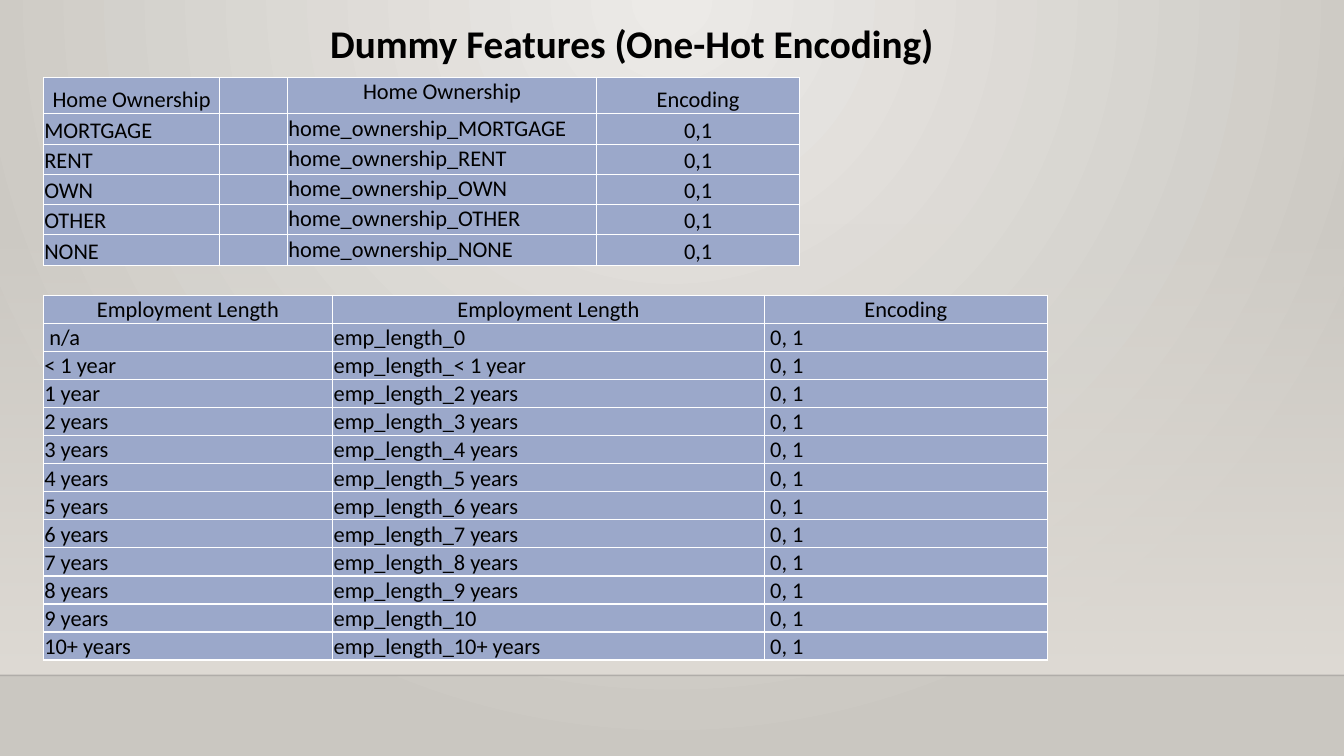
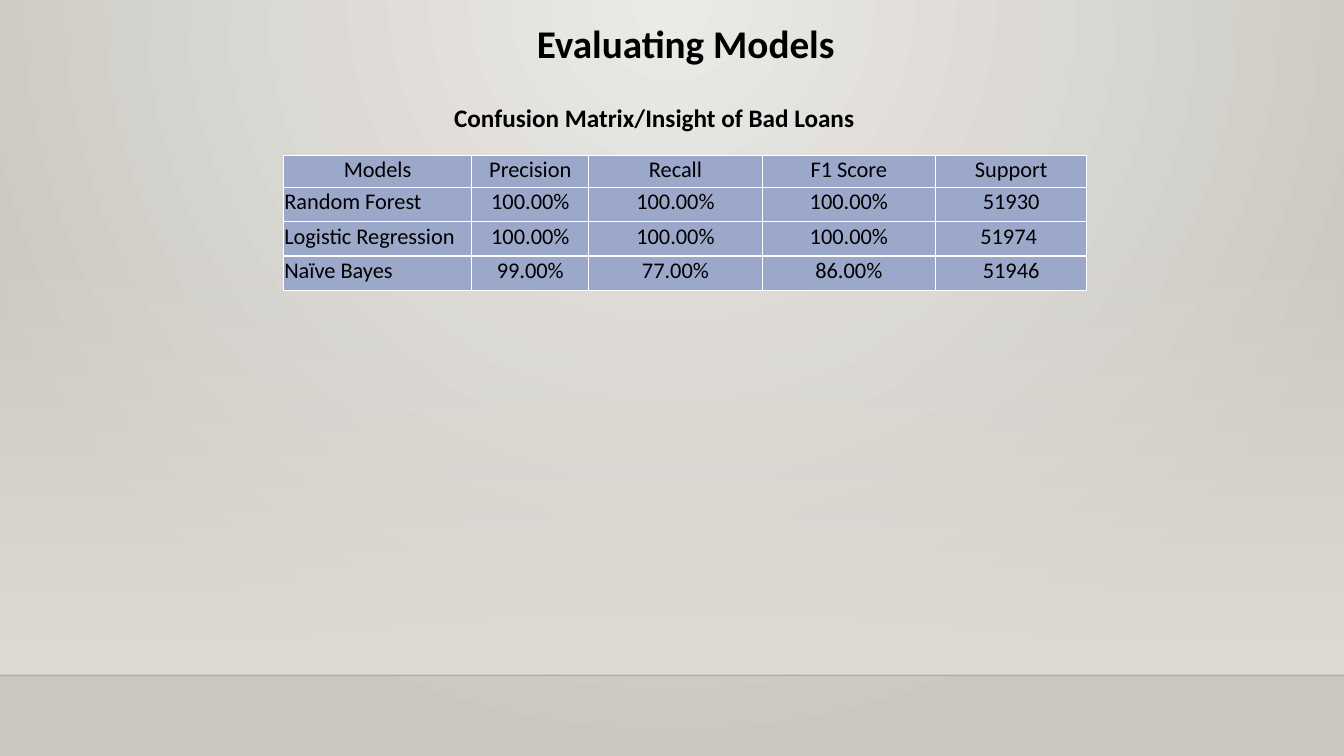
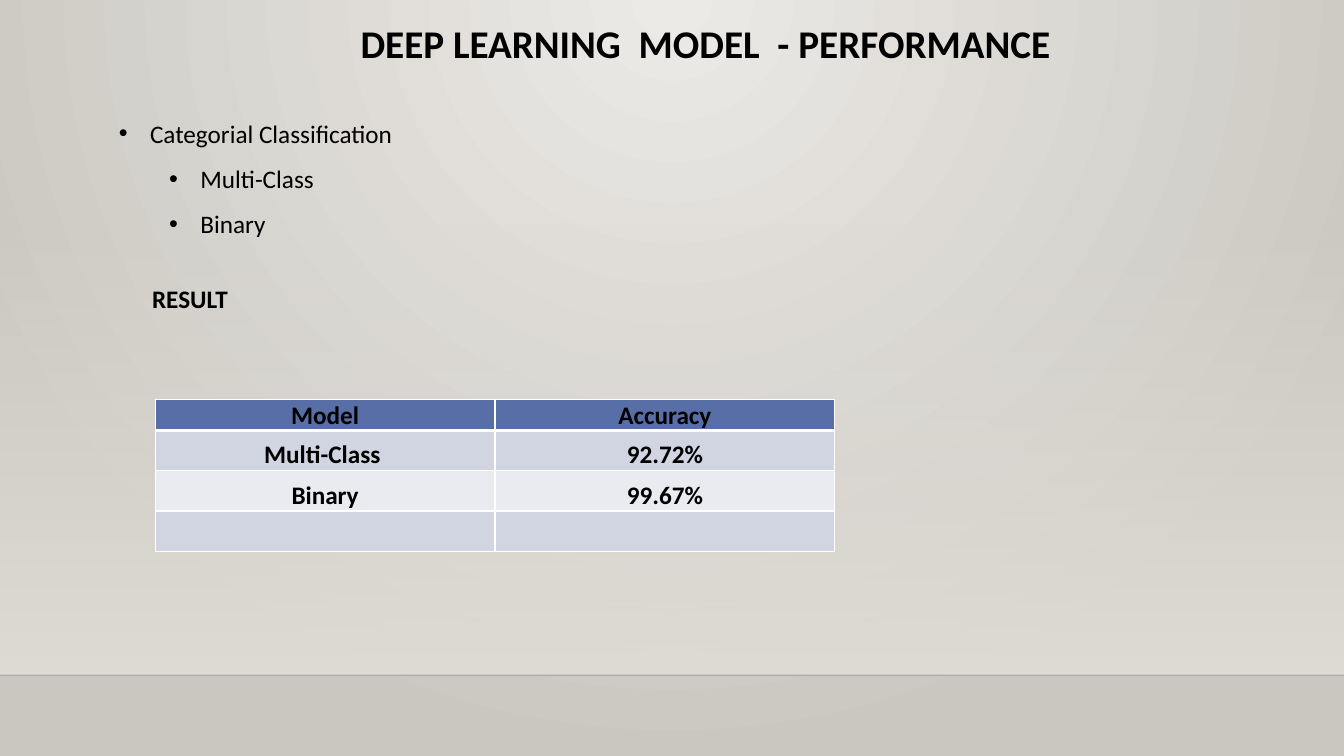
from dataclasses import dataclass

from lxml.etree import SubElement
from pptx import Presentation
from pptx.dml.color import RGBColor
from pptx.enum.shapes import MSO_CONNECTOR, MSO_SHAPE
from pptx.enum.text import MSO_ANCHOR, MSO_AUTO_SIZE, PP_ALIGN
from pptx.oxml import parse_xml
from pptx.oxml.ns import nsdecls, qn
from pptx.util import Inches, Pt

ALIGN = {"l": PP_ALIGN.LEFT, "c": PP_ALIGN.CENTER}
ANCHOR = {"t": MSO_ANCHOR.TOP, "b": MSO_ANCHOR.BOTTOM}
TITLE_ONLY = 5


@dataclass(frozen=True)
class Theme:
    font: str = "Calibri"
    ink: str = "000000"
    glow: str = "ECEAE7"
    edge: str = "CAC7C1"
    wall: str = "DFDBD5"
    rule: str = "000001"
    grid: str = "FFFFFF"
    cell: str = "9BA8CA"
    header: str = "586EA6"
    stripes: tuple = ("D1D5E1", "EAEBF1")
    title_size: int = 28
    body_size: int = 18
    table_size: int = 16


def set_gradient(owner, stops, direction):
    gradient = owner.find(".//" + qn("a:gradFill"))
    stop_list = "".join(
        f'<a:gs pos="{position * 1000}"><a:srgbClr val="{color}">'
        f'<a:alpha val="{alpha * 1000}"/></a:srgbClr></a:gs>'
        for position, color, alpha in stops
    )
    gradient.getparent().replace(gradient, parse_xml(
        f'<a:gradFill {nsdecls("a")} rotWithShape="1">'
        f"<a:gsLst>{stop_list}</a:gsLst>{direction}</a:gradFill>"
    ))


class Deck:
    def __init__(self, theme):
        self.theme = theme
        self.presentation = Presentation()
        self.presentation.slide_width = Inches(13.33)
        self.presentation.slide_height = Inches(7.5)
        self.slide = None

    def add_slide(self, title, left, width):
        first = self.slide is None
        layout = self.presentation.slide_layouts[TITLE_ONLY]
        self.slide = self.presentation.slides.add_slide(layout)
        if first:
            self.build_backdrop()
        heading = self.slide.shapes.title
        heading.left, heading.top = Inches(left), Inches(0.14)
        heading.width, heading.height = Inches(width), Inches(0.57)
        self.fill_text(heading.text_frame, title, self.theme.title_size, True, "c")

    def build_backdrop(self):
        theme = self.theme
        master = self.presentation.slide_master
        master.background.fill.gradient()
        set_gradient(
            master.element, [(0, theme.glow, 100), (100, theme.edge, 100)],
            '<a:path path="circle"><a:fillToRect l="43000" t="0" r="43000" b="100000"/></a:path>',
        )
        wall = self.slide.shapes.add_shape(
            MSO_SHAPE.RECTANGLE, 0, Inches(2.21), Inches(13.33), Inches(4.49))
        wall.shadow.inherit = False
        wall.line.fill.background()
        wall.fill.gradient()
        set_gradient(
            wall.element, [(0, theme.wall, 0), (100, theme.wall, 100)],
            '<a:lin ang="5400000" scaled="0"/>',
        )
        floor_line = self.slide.shapes.add_connector(
            MSO_CONNECTOR.STRAIGHT, 0, Inches(6.7), Inches(13.33), Inches(6.7))
        floor_line.line.width = Pt(1)
        floor_line.line.color.rgb = RGBColor.from_string(theme.rule)
        color = floor_line.element.find(".//" + qn("a:srgbClr"))
        SubElement(color, qn("a:alpha"), val="20000")
        SubElement(floor_line.element.spPr, qn("a:effectLst"))
        for order, part in enumerate((wall, floor_line)):
            part.element.find(".//" + qn("p:cNvPr")).set("id", str(100 + order))
            master.shapes.element.insert(2 + order, part.element)

    def style(self, paragraph, size, bold, align):
        paragraph.alignment = ALIGN[align]
        for run in paragraph.runs:
            run.font.name = self.theme.font
            run.font.size = Pt(size)
            run.font.bold = bold
            run.font.color.rgb = RGBColor.from_string(self.theme.ink)

    def fill_text(self, frame, text, size, bold, align):
        frame.text = text
        frame.word_wrap = True
        frame.auto_size = MSO_AUTO_SIZE.SHAPE_TO_FIT_TEXT
        frame.vertical_anchor = MSO_ANCHOR.TOP
        for paragraph in frame.paragraphs:
            self.style(paragraph, size, bold, align)

    def add_text(self, text, left, top, width, height, bold=False, align="l"):
        box = self.slide.shapes.add_textbox(
            Inches(left), Inches(top), Inches(width), Inches(height))
        self.fill_text(box.text_frame, text, self.theme.body_size, bold, align)
        return box.text_frame

    def add_bullets(self, items, left, top, width, height):
        frame = self.add_text("\n".join(text for _, text in items), left, top, width, height)
        for paragraph, (level, _) in zip(frame.paragraphs, items):
            paragraph.level = level
            paragraph.line_spacing = 1.5
            properties = paragraph._p.get_or_add_pPr()
            properties.set("marL", str(Inches(0.31 + 0.5 * level)))
            properties.set("indent", str(Inches(-0.31)))
            SubElement(properties, qn("a:buFont"), typeface="Arial")
            SubElement(properties, qn("a:buChar"), char="•")

    def add_table(self, rows, left, top, columns, heights, aligns, anchors,
                  striped=False):
        theme = self.theme
        size = theme.body_size if striped else theme.table_size
        table = self.slide.shapes.add_table(
            len(rows), len(columns), Inches(left), Inches(top),
            Inches(sum(columns)), Inches(sum(heights))).table
        table.first_row = table.horz_banding = False
        for column, width in zip(table.columns, columns):
            column.width = Inches(width)
        for index, (row, height, texts) in enumerate(zip(table.rows, heights, rows)):
            row.height = Inches(height)
            color = theme.cell
            if striped:
                color = theme.stripes[(index - 1) % 2] if index else theme.header
            borders = {"L": 1, "R": 1,
                       "T": 3 if striped and index == 1 else 1,
                       "B": 3 if striped and index == 0 else 1}
            for cell, text, align, anchor in zip(row.cells, texts, aligns, anchors):
                cell.text_frame.text = text
                cell.margin_left = cell.margin_right = cell.margin_top = Inches(0.01)
                cell.margin_bottom = 0
                cell.vertical_anchor = ANCHOR[anchor]
                paragraph = cell.text_frame.paragraphs[0]
                self.style(paragraph, size, striped, align if index else "c")
                if not text:
                    SubElement(paragraph._p, qn("a:endParaRPr"), sz=str(size * 100))
                cell.fill.solid()
                cell.fill.fore_color.rgb = RGBColor.from_string(color)
                self.set_borders(cell, borders)

    def set_borders(self, cell, borders):
        properties = cell._tc.get_or_add_tcPr()
        for order, (side, width) in enumerate(borders.items()):
            properties.insert(order, parse_xml(
                f'<a:ln{side} {nsdecls("a")} w="{Pt(width)}"><a:solidFill>'
                f'<a:srgbClr val="{self.theme.grid}"/></a:solidFill></a:ln{side}>'
            ))


def add_dummy_features(deck):
    deck.add_slide("Dummy Features (One-Hot Encoding)", 0.94, 10.65)
    ownership = ["MORTGAGE", "RENT", "OWN", "OTHER", "NONE"]
    deck.add_table(
        [["Home Ownership", "", "Home Ownership", "Encoding"]]
        + [[kind, "", f"home_ownership_{kind}", "0,1"] for kind in ownership],
        0.43, 0.77, [1.75, 0.67, 3.07, 2.01], [0.36] + [0.3] * 5, "lllc", "bttb",
    )
    years = [f"{count} years" for count in range(2, 10)]
    lengths = [" n/a", "< 1 year", "1 year", *years, "10+ years"]
    suffixes = ["0", "< 1 year", *years, "10", "10+ years"]
    deck.add_table(
        [["Employment Length", "Employment Length", "Encoding"]]
        + [[length, f"emp_length_{suffix}", " 0, 1"]
           for length, suffix in zip(lengths, suffixes)],
        0.43, 2.93, [2.87, 4.28, 2.81], [3.62 / 13] * 13, "lll", "ttt",
    )


def add_evaluation(deck):
    deck.add_slide("Evaluating Models", 2.18, 9.24)
    deck.add_table(
        [
            ["Models", "Precision", "Recall", "F1 Score", "Support"],
            ["Random Forest", "100.00%", "100.00%", "100.00%", "51930"],
            ["Logistic Regression", "100.00%", "100.00%", "100.00%", "51974 "],
            ["Naïve Bayes", "99.00%", "77.00%", "86.00%", "51946"],
        ],
        2.81, 1.54, [1.87, 1.16, 1.72, 1.72, 1.5], [0.32] + [0.34] * 3, "lcccc", "ttttt",
    )
    deck.add_text("Confusion Matrix/Insight of Bad Loans",
                  3.96, 0.97, 5.06, 0.41, bold=True, align="c")


def add_performance(deck):
    deck.add_slide("DEEP LEARNING  MODEL  - PERFORMANCE", 2.18, 9.63)
    deck.add_bullets(
        [(0, "Categorial Classification"), (1, "Multi-Class"), (1, "Binary")],
        1.08, 0.97, 11.19, 1.41,
    )
    deck.add_table(
        [["Model", "Accuracy"], ["Multi-Class ", "92.72%"], ["Binary", "99.67%"], ["", ""]],
        1.54, 3.96, [3.37, 3.37], [0.31] + [0.4] * 3, "cc", "bb", striped=True,
    )
    deck.add_text("RESULT", 1.41, 2.76, 3.64, 0.4, bold=True)


def main():
    deck = Deck(Theme())
    add_dummy_features(deck)
    add_evaluation(deck)
    add_performance(deck)
    deck.presentation.save("out.pptx")


if __name__ == "__main__":
    main()
